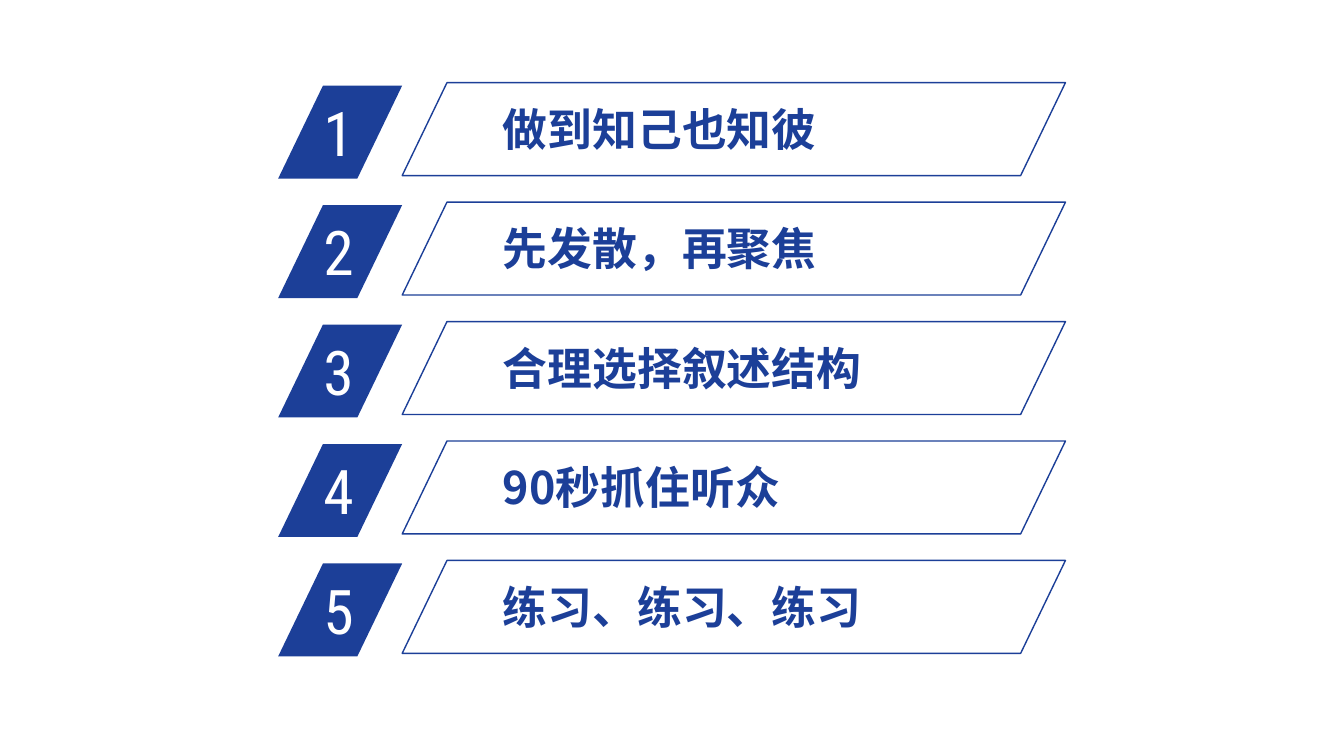
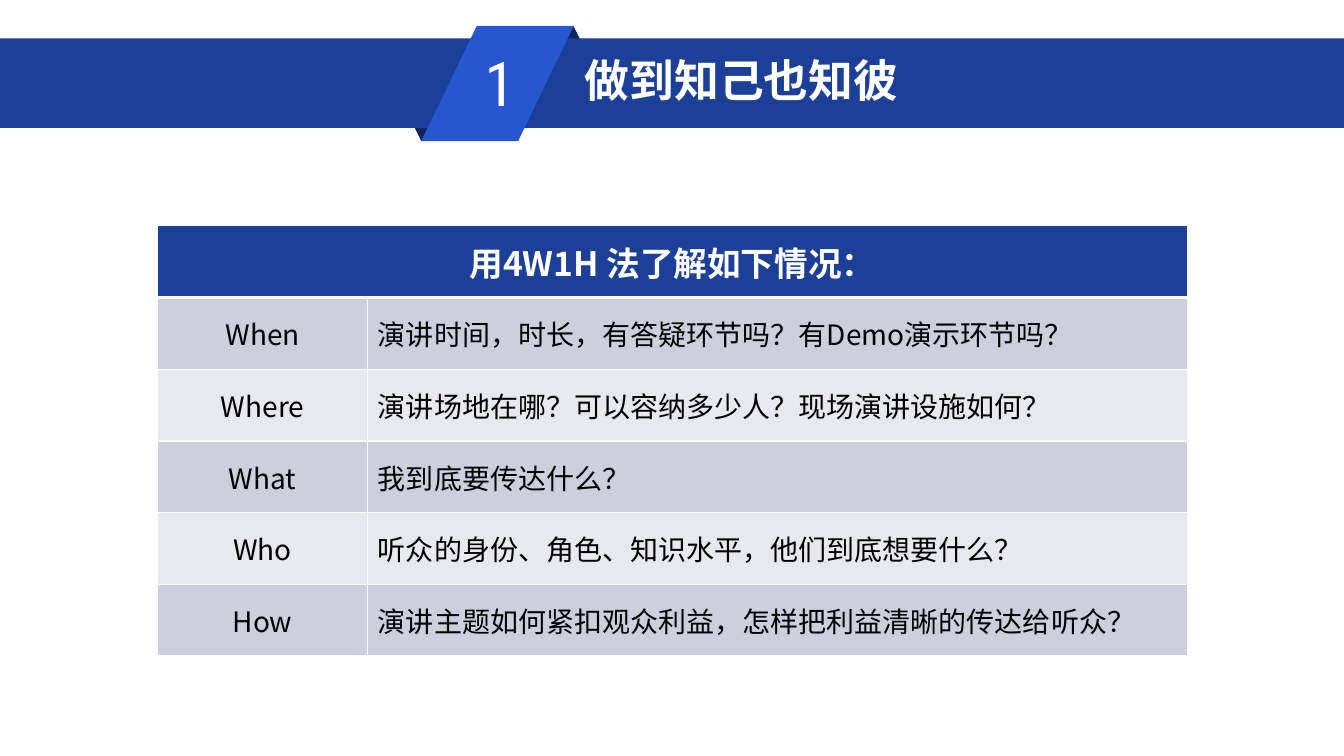
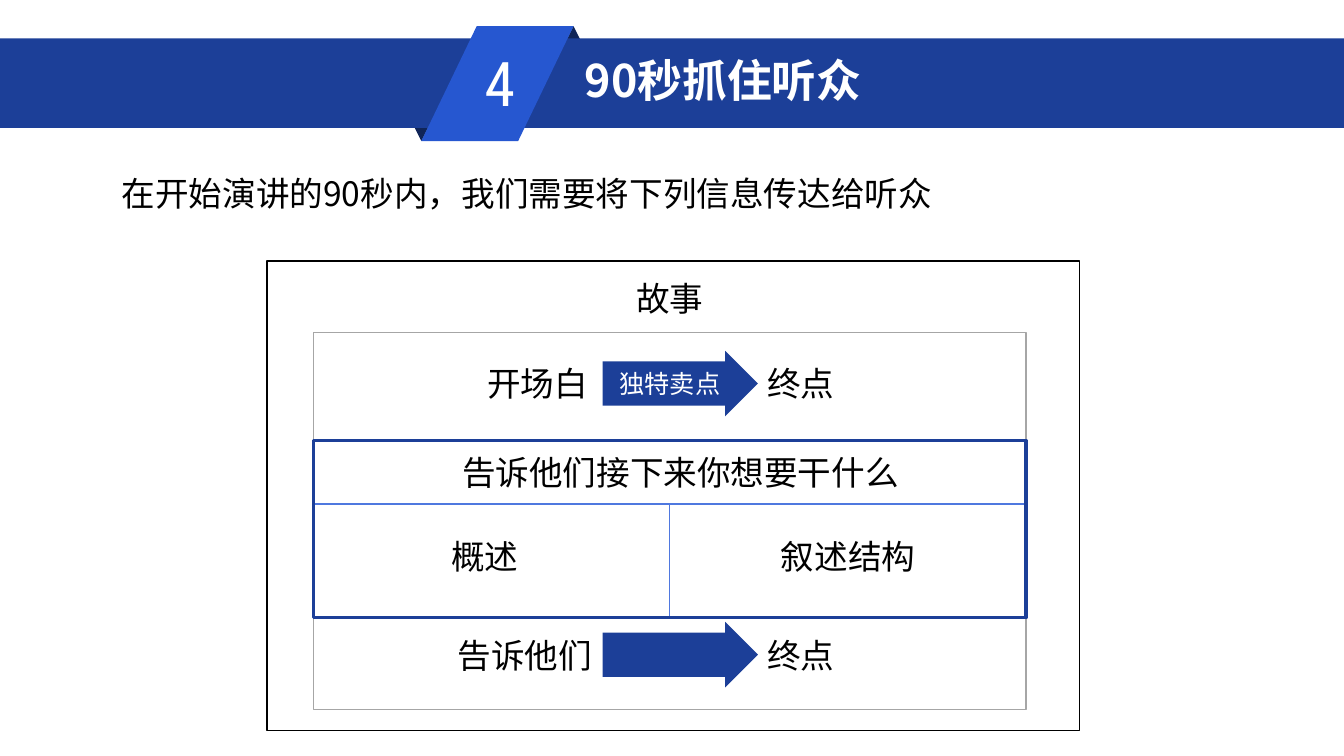
from dataclasses import dataclass

from lxml.etree import SubElement
from pptx import Presentation
from pptx.dml.color import RGBColor
from pptx.enum.shapes import MSO_SHAPE as Preset
from pptx.enum.text import MSO_ANCHOR as Anchor, MSO_AUTO_SIZE as AutoSize, PP_ALIGN as Align
from pptx.oxml.ns import qn
from pptx.util import Emu, Pt

COLUMNS, ROWS, UNIT = 160, 90, 76200
SLANT = 0.482


@dataclass(frozen=True)
class Theme:
    navy: str = "1C3F98"
    royal: str = "2657D0"
    fold: str = "102558"
    sky: str = "4F78DF"
    gray: str = "A6A6A6"
    black: str = "000000"
    white: str = "FFFFFF"
    bands: tuple = ("CDCFDD", "E8E8EF")
    sans: str = "Noto Sans CJK SC"
    digits: str = "Roboto Condensed"
    number: int = 44
    heading: int = 32
    text: int = 24
    cell: int = 20
    note: int = 18


THEME = Theme()


@dataclass(frozen=True)
class Box:
    col: float
    row: float
    cols: float
    rows: float

    def area(self, col, row, cols, rows):
        return Box(self.col + col, self.row + row, cols, rows)

    def emu(self):
        return [Emu(round(n * UNIT)) for n in (self.col, self.row, self.cols, self.rows)]


PAGE = Box(0, 0, COLUMNS, ROWS)


def write(frame, text, size, color, font=THEME.sans, bold=False, align=Align.LEFT):
    frame.text = text
    paragraph = frame.paragraphs[0]
    paragraph.alignment = align
    for run in paragraph.runs:
        run.font.size = Pt(size)
        run.font.bold = bold
        run.font.color.rgb = RGBColor.from_string(color)
        run.font.name = font
        SubElement(run.font._element, qn("a:ea"), typeface=font)


def add_text(slide, box, text, size=THEME.text, color=THEME.black, **style):
    frame = slide.shapes.add_textbox(*box.emu()).text_frame
    frame.word_wrap = True
    write(frame, text, size, color, **style)


def add_label(slide, box, text, size=THEME.text, color=THEME.black):
    add_text(slide, box, text, size, color, align=Align.CENTER)


def add_number(slide, box, number):
    add_text(slide, box, str(number), THEME.number, THEME.white, font=THEME.digits)


def add_preset(slide, preset, box, fill=None, line=None, weight=1, adjust=()):
    shape = slide.shapes.add_shape(preset, *box.emu())
    shape.shadow.inherit = False
    for index, value in enumerate(adjust):
        shape.adjustments[index] = value
    if fill:
        shape.fill.solid()
        shape.fill.fore_color.rgb = RGBColor.from_string(fill)
    else:
        shape.fill.background()
    if line:
        shape.line.color.rgb = RGBColor.from_string(line)
        shape.line.width = Pt(weight)
    else:
        shape.line.fill.background()
    return shape


def add_frame(slide, box, line, weight=1):
    add_preset(slide, Preset.RECTANGLE, box, line=line, weight=weight)


def add_agenda_row(slide, box, number, topic):
    tag = box.area(0, 0.36, 14.76, 11.06)
    bar = box.area(14.76, 0, box.cols - 14.76, 11.06)
    add_preset(slide, Preset.PARALLELOGRAM, tag, fill=THEME.navy, adjust=[SLANT])
    add_number(slide, box.area(4.2, 0.84, 14, 10.08), number)
    add_text(slide, box.area(25.56, 1.68, 54.5, 7.68), topic, THEME.heading, THEME.navy, bold=True)
    add_preset(slide, Preset.PARALLELOGRAM, bar, line=THEME.navy, adjust=[SLANT])


def add_header(slide, box, number, topic):
    badge = box.area(50.16, 0, 18.12, box.rows)
    fold = 6.24
    add_preset(slide, Preset.ISOSCELES_TRIANGLE,
               badge.area(badge.cols - fold / 2, 0, fold, fold), fill=THEME.fold)
    lower_fold = add_preset(slide, Preset.ISOSCELES_TRIANGLE,
                            badge.area(-fold / 2, badge.rows - fold, fold, fold), fill=THEME.fold)
    lower_fold.rotation = 180
    add_preset(slide, Preset.RECTANGLE, box.area(0, 1.44, box.cols, 10.68), fill=THEME.navy)
    add_preset(slide, Preset.PARALLELOGRAM, badge, fill=THEME.royal, adjust=[SLANT])
    add_number(slide, badge.area(6.36, 1.68, 8.64, 10.08), number)

    title = slide.shapes.title
    title.left, title.top, title.width, title.height = box.area(68.4, -1.92, 48, 17.4).emu()
    frame = title.text_frame
    frame.auto_size = AutoSize.NONE
    frame.word_wrap = True
    frame.vertical_anchor = Anchor.MIDDLE
    write(frame, topic, THEME.heading, THEME.white, bold=True)
    frame.paragraphs[0].line_spacing = 0.9
    title.element.getparent().append(title.element)


def set_borders(cell, weights):
    properties = cell._tc.get_or_add_tcPr()
    for index, (side, weight) in enumerate(weights.items()):
        edge = SubElement(properties, qn(f"a:ln{side}"), w=str(Pt(weight)))
        fill = SubElement(edge, qn("a:solidFill"))
        SubElement(fill, qn("a:srgbClr"), val=THEME.white)
        properties.insert(index, edge)


def add_question_table(slide, box, heading, questions):
    rows = [(heading, "")] + questions
    table = slide.shapes.add_table(len(rows), 2, *box.emu()).table
    table.horz_banding = False
    key_width = 25.08
    for column, width in zip(table.columns, (key_width, box.cols - key_width)):
        column.width = Emu(round(width * UNIT))
    table.cell(0, 0).merge(table.cell(0, 1))
    for r, row in enumerate(rows):
        is_head = r == 0
        for c, text in enumerate(row):
            cell = table.cell(r, c)
            cell.vertical_anchor = Anchor.MIDDLE
            cell.fill.solid()
            cell.fill.fore_color.rgb = RGBColor.from_string(
                THEME.navy if is_head else THEME.bands[(r - 1) % 2])
            set_borders(cell, {"L": 1, "R": 1, "T": 3 if r == 1 else 1, "B": 3 if is_head else 1})
            if text:
                write(cell.text_frame, text, THEME.text if is_head else THEME.cell,
                      THEME.white if is_head else THEME.black, bold=is_head,
                      align=Align.CENTER if c == 0 else Align.LEFT)


def add_journey(slide, box, start, start_col, start_cols, end, note=None):
    add_preset(slide, Preset.RIGHT_ARROW, box.area(34.44, 0, 18.48, 7.8),
               fill=THEME.navy, adjust=[0.677, 0.5])
    add_label(slide, box.area(start_col, 0.9, start_cols, 6), start)
    add_label(slide, box.area(46.56, 0.9, 22.92, 6), end)
    if note:
        add_label(slide, box.area(30.96, 1.44, 22.92, 4.8), note, THEME.note, THEME.white)


def add_plan(slide, box, heading, halves):
    add_label(slide, box.area(12.36, 0.72, 62.64, 6), heading)
    half_cols = box.cols / len(halves)
    for index, (text, col, cols) in enumerate(halves):
        half = box.area(index * half_cols, 7.56, half_cols, box.rows - 7.56)
        add_frame(slide, half, THEME.sky)
        add_label(slide, half.area(col, 3.24, cols, 6), text)
    add_frame(slide, box, THEME.navy, 2.25)


def add_story(slide, box):
    speech = box.area(5.52, 8.52, 84.84, 44.88)
    add_frame(slide, box, THEME.black)
    add_frame(slide, speech, THEME.gray)
    add_label(slide, box.area(36.48, 1.44, 22.92, 6), "故事")
    add_journey(slide, speech.area(0, 2.16, speech.cols, 7.8),
                "开场白", 15.24, 22.92, "终点", "独特卖点")
    add_journey(slide, speech.area(0, 34.44, speech.cols, 7.8),
                "告诉他们", 12.36, 25.56, "终点")
    add_plan(slide, speech.area(0, 12.84, speech.cols, 21.12), "告诉他们接下来你想要干什么",
             [("概述", 12.36, 16.08), ("叙述结构", 8.46, 25.56)])


TOPICS = ["做到知己也知彼", "先发散，再聚焦", "合理选择叙述结构", "90秒抓住听众", "练习、练习、练习"]
QUESTIONS = [
    ("When", "演讲时间，时长，有答疑环节吗？有Demo演示环节吗？"),
    ("Where", "演讲场地在哪？可以容纳多少人？现场演讲设施如何？"),
    ("What", "我到底要传达什么？"),
    ("Who", "听众的身份、角色、知识水平，他们到底想要什么？"),
    ("How", "演讲主题如何紧扣观众利益，怎样把利益清晰的传达给听众？"),
]


def add_agenda_slide(deck):
    slide = deck.slides.add_slide(deck.slide_layouts[6])
    for index, topic in enumerate(TOPICS):
        row = PAGE.area(33.12, 9.84 + index * 14.22, 93.72, 11.42)
        add_agenda_row(slide, row, index + 1, topic)


def add_topic_slide(deck, number):
    slide = deck.slides.add_slide(deck.slide_layouts[5])
    add_header(slide, PAGE.area(0, 3.12, COLUMNS, 13.68), number, TOPICS[number - 1])
    return slide


def main():
    deck = Presentation()
    deck.slide_width, deck.slide_height = Emu(COLUMNS * UNIT), Emu(ROWS * UNIT)

    add_agenda_slide(deck)

    audience = add_topic_slide(deck, 1)
    add_question_table(audience, PAGE.area(18.72, 26.88, 122.64, 51.24),
                       "用4W1H 法了解如下情况：", QUESTIONS)

    opening = add_topic_slide(deck, 4)
    add_text(opening, PAGE.area(13.32, 20.04, 105.24, 6),
             "在开始演讲的90秒内，我们需要将下列信息传达给听众")
    add_story(opening, PAGE.area(31.8, 31.08, 96.72, 55.92))

    deck.save("out.pptx")


if __name__ == "__main__":
    main()
